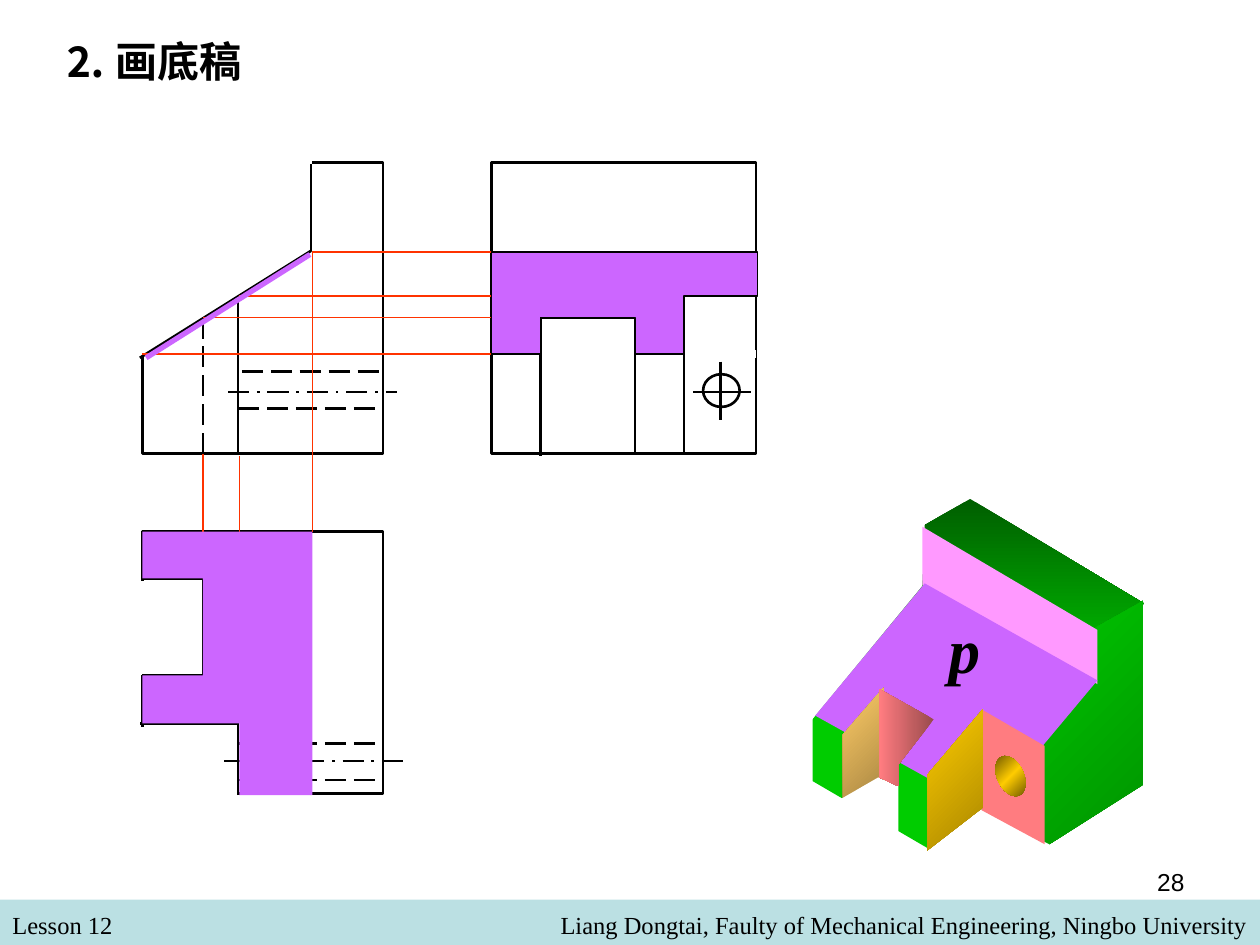
"""Build the slide showing three projected views and a shaded block."""
import math

from lxml import etree
from pptx import Presentation
from pptx.dml.color import RGBColor
from pptx.enum.dml import MSO_LINE
from pptx.enum.shapes import MSO_CONNECTOR, MSO_SHAPE
from pptx.enum.text import MSO_AUTO_SIZE, PP_ALIGN
from pptx.oxml.ns import qn
from pptx.util import Inches, Pt

STRAIGHT = MSO_CONNECTOR.STRAIGHT
RECTANGLE, OVAL = MSO_SHAPE.RECTANGLE, MSO_SHAPE.OVAL
DASH, DASH_DOT = MSO_LINE.LONG_DASH, MSO_LINE.LONG_DASH_DOT
LEFT, RIGHT = PP_ALIGN.LEFT, PP_ALIGN.RIGHT
FIT, FIXED = MSO_AUTO_SIZE.SHAPE_TO_FIT_TEXT, MSO_AUTO_SIZE.NONE
SERIF, SANS = "Times New Roman", "Arial"

COLORS = {
    "black": "000000", "white": "FFFFFF", "band": "BBE0E3",
    "projection": "FF3300", "plane": "CC66FF", "pink": "FF99FF",
    "salmon": "FF7C80", "dark salmon": "9A4B4D", "green": "00CC00",
    "mid green": "008F00", "dark green": "005E00", "gold": "FFCC00",
    "dark gold": "A98700", "deep gold": "755E00", "sand": "FFCC66",
    "dark sand": "A98743",
}

HIDDEN_AND_EDGES = [
    (5.72, 2.87, 5.72, 3.33), (5.5, 3.11, 5.96, 3.11),
    (1.78, 6.04, 3.2, 6.04, DASH_DOT), (1.89, 5.9, 3.04, 5.9, DASH),
    (1.89, 6.19, 3.04, 6.19, DASH), (1.89, 5.74, 1.11, 5.74),
    (1.61, 5.36, 1.61, 4.59), (2.47, 6.31, 2.47, 4.22),
    (1.81, 3.11, 3.15, 3.11, DASH_DOT), (1.61, 2.52, 1.61, 3.62, DASH),
    (1.92, 2.95, 3.04, 2.95, DASH), (1.89, 3.24, 3.04, 3.24, DASH),
    (3.9, 2, 5.98, 2), (4.29, 2.52, 5.05, 2.52),
    (5.43, 2.34, 6.01, 2.34), (1.89, 2.36, 1.89, 3.6),
]
ERASED = [
    (1.13, 1.19, 1.13, 2.83), (0.99, 1.29, 2.48, 1.29),
    (1.13, 5.36, 1.13, 4.61), (1.13, 5.77, 1.13, 6.31),
    (1.13, 6.31, 1.9, 6.31),
]
ERASED_IN_SIDE_VIEW = [(4.29, 2.81, 5.06, 2.81), (5.43, 2.81, 6, 2.81)]
PROJECTIONS = [
    (2.48, 2, 3.96, 2), (1.13, 2.81, 3.9, 2.81), (2.48, 2, 2.48, 4.22),
    (1.61, 4.59, 1.61, 3.6), (1.61, 2.52, 4.29, 2.52),
    (1.9, 5.74, 1.9, 3.62), (1.9, 2.35, 5.43, 2.35),
]
CUT_EDGES = [
    (2.47, 1.3, 2.47, 1.99), (2.47, 1.99, 1.11, 2.84),
    (1.13, 5.36, 1.61, 5.36), (1.61, 4.59, 1.13, 4.59),
    (4.29, 2.52, 4.29, 3.62), (5.43, 2.34, 5.43, 3.61),
    (5.04, 2.52, 5.04, 3.6), (1.89, 6.31, 1.89, 5.74),
]

BODY = [
    ([(7.7, 3.96), (6.45, 4.68), (7.84, 5.48), (9.08, 4.79)], ("dark green", "green"), 90),
    ([(9.07, 4.77), (9.07, 6.23), (7.84, 7.01), (7.84, 5.46)], ("mid green", "green"), 225),
    ([(6.45, 4.67), (6.45, 6.2), (7.84, 7.01), (7.84, 5.48)], ("green",), 0),
]
SLOPE = [
    ([(7.34, 4.15), (7.32, 4.65), (6.43, 5.73), (6.26, 4.54), (6.32, 4.31)], ("white",), 0),
    ([(7.32, 4.18), (7.32, 4.64), (8.71, 5.43), (8.71, 5)], ("pink",), 0),
    ([(7.34, 4.63), (8.71, 5.4), (7.84, 6.44), (6.47, 5.68)], ("plane",), 0),
]
CORNER = [
    ([(7.76, 6.41), (8.48, 6.78), (7.72, 7.13), (7.28, 6.82)], ("white",), 0),
    ([(7.79, 5.63), (8.29, 5.92), (8.29, 6.7), (7.79, 6.43)], ("salmon",), 0),
    ([(7.36, 6.15), (7.36, 6.75), (7.8, 6.41), (7.8, 5.63)], ("dark gold", "gold"), 225),
]
SLOT = [
    ([(6.69, 5.83), (7.01, 5.46), (7.01, 6.17), (6.69, 6.35)], ("dark sand", "sand"), 225),
    ([(6.97, 6.17), (6.59, 6.39), (7.13, 6.65), (7.13, 6.24)], ("white",), 0),
    ([(6.98, 5.47), (7.41, 5.71), (7.13, 6.07), (7.13, 6.24), (6.98, 6.17)],
     ("dark salmon", "salmon"), 180),
]
HOLE = [(8.02 + 0.12 * math.cos(turn), 6.16 + 0.16 * math.sin(turn + 0.36))
        for turn in (math.tau * step / 32 for step in range(32))]
TOP_PLANE = [(1.13, 4.22), (2.48, 4.22), (2.48, 6.31), (1.9, 6.31), (1.9, 5.74),
             (1.13, 5.74), (1.13, 5.36), (1.61, 5.36), (1.61, 4.59), (1.13, 4.59)]
SIDE_PLANE = [(3.9, 2), (6.01, 2), (6.01, 2.35), (5.43, 2.35), (5.43, 2.81),
              (5.04, 2.81), (5.04, 2.52), (4.29, 2.52), (4.29, 2.81), (3.9, 2.81)]


def color(name):
    """Return the named colour."""
    return RGBColor.from_string(COLORS[name])


def paint(shape, fills=(), angle=0, outline=0):
    """Set a solid, gradient or empty fill and a black or empty outline."""
    shape.shadow.inherit = False
    if not fills:
        shape.fill.background()
    elif len(fills) == 1:
        shape.fill.solid()
        shape.fill.fore_color.rgb = color(fills[0])
    else:
        shape.fill.gradient()
        shape.fill.gradient_angle = (360 - angle) % 360
        stops = shape.element.spPr.find(".//" + qn("a:gsLst"))
        stops.clear()
        for index, name in enumerate(fills):
            position = str(index * 100000 // (len(fills) - 1))
            stop = etree.SubElement(stops, qn("a:gs"), pos=position)
            etree.SubElement(stop, qn("a:srgbClr"), val=COLORS[name])
    if outline:
        shape.line.color.rgb = color("black")
        shape.line.width = Pt(outline)
    else:
        shape.line.fill.background()


def add_preset(page, kind, place, **look):
    """Add a preset shape at left, top, width, height."""
    paint(page.shapes.add_shape(kind, *map(Inches, place)), **look)


def add_face(shapes, points, fills, angle=0, outline=0):
    """Add a closed, filled polygon."""
    corners = [(Inches(x), Inches(y)) for x, y in points]
    builder = shapes.build_freeform(*corners[0], scale=1)
    builder.add_line_segments(corners[1:], close=True)
    paint(builder.convert_to_shape(), fills, angle, outline)


def add_solid(page, faces):
    """Add a group of faces."""
    group = page.shapes.add_group_shape()
    for face in faces:
        add_face(group.shapes, *face)


def add_lines(page, lines, name="black", width=1.5):
    """Add straight lines, each with an optional dash style."""
    for x1, y1, x2, y2, *dash in lines:
        line = page.shapes.add_connector(STRAIGHT, *map(Inches, (x1, y1, x2, y2)))
        line.line.color.rgb = color(name)
        line.line.width = Pt(width)
        if dash:
            line.line.dash_style = dash[0]
        etree.SubElement(line.element.spPr, qn("a:effectLst"))


def add_text(page, text, place, size=14, font=SERIF, bold=False, italic=False,
             align=LEFT, wrap=True, fit=FIT):
    """Add a one-paragraph text box."""
    box = page.shapes.add_textbox(*map(Inches, place))
    frame = box.text_frame
    frame.word_wrap = wrap
    frame.auto_size = fit
    para = frame.paragraphs[0]
    para.alignment = align
    span = para.add_run()
    span.text = text
    span.font.name = font
    span.font.size = Pt(size)
    span.font.bold = bold
    span.font.italic = italic
    span.font.color.rgb = color("black")


def main():
    """Build and save the deck."""
    deck = Presentation()
    deck.slide_width, deck.slide_height = Inches(10), Inches(7.5)
    page = deck.slides.add_slide(deck.slide_layouts[6])

    add_preset(page, RECTANGLE, (0, 7.14, 10, 0.36), fills=("band",))
    add_text(page, "Lesson 12", (0, 7.17, 4.83, 0.34))
    add_text(page, "Liang Dongtai, Faulty of Mechanical Engineering, Ningbo University",
             (1.83, 7.17, 8.17, 0.34), align=RIGHT)
    add_text(page, "⒉ 画底稿", (0.41, 0.23, 1.61, 0.5), size=24, bold=True, wrap=False)

    for place in ((3.9, 1.29, 2.1, 2.31), (1.13, 1.29, 1.91, 2.31)):
        add_preset(page, RECTANGLE, place, outline=1.5)
    add_preset(page, OVAL, (5.58, 2.97, 0.29, 0.26), outline=1.5)
    add_lines(page, HIDDEN_AND_EDGES)

    for faces in (BODY, SLOPE, CORNER):
        add_solid(page, faces)
    add_face(page.shapes, HOLE, ("deep gold", "gold", "deep gold"), 225)
    add_solid(page, SLOT)
    add_text(page, "p", (7.43, 4.8, 0.45, 0.7), size=36, bold=True, italic=True)

    add_preset(page, RECTANGLE, (1.13, 4.22, 1.91, 2.08), outline=1.5)
    add_lines(page, ERASED, "white", 4.25)
    add_lines(page, [(3.92, 2.81, 6.01, 2.81)])
    add_lines(page, ERASED_IN_SIDE_VIEW, "white", 4.5)
    add_lines(page, CUT_EDGES)
    add_lines(page, PROJECTIONS, "projection", 1)
    add_face(page.shapes, TOP_PLANE, ("plane",))
    add_lines(page, [(1.16, 2.84, 2.46, 2.02)], "plane", 3)
    add_face(page.shapes, SIDE_PLANE, ("plane",), outline=0.75)
    add_text(page, "28", (7.17, 6.83, 2.33, 0.52), font=SANS, align=RIGHT, fit=FIXED)
    deck.save("out.pptx")


if __name__ == "__main__":
    main()
